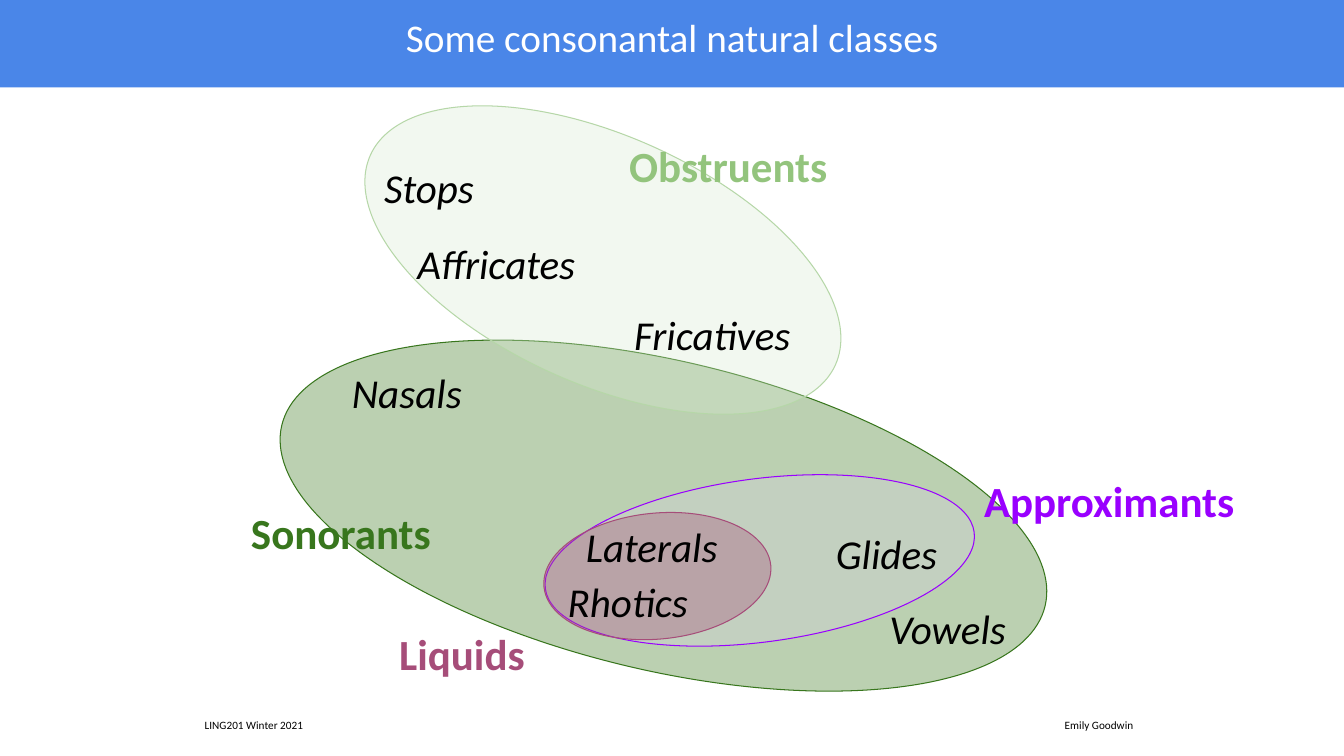
from dataclasses import dataclass

from pptx import Presentation
from pptx import util as u
from pptx.dml.color import RGBColor
from pptx.enum import shapes, text
from pptx.oxml.ns import qn
from lxml import etree

EMU_PER_PX = 9144  # 100 px to the inch


@dataclass(frozen=True)
class Theme:
    font: str = "Calibri"
    black: str = "000000"
    white: str = "FFFFFF"
    banner: str = "4A86E8"
    sonorant: str = "38761D"
    obstruent: str = "93C47D"
    obstruent_fill: str = "D9EAD3"
    obstruent_line: str = "B6D7A8"
    approximant: str = "9900FF"
    approximant_fill: str = "D9D2E9"
    liquid: str = "A64D79"
    title_size: float = 28
    class_size: float = 30.7
    sound_size: float = 29.3
    footer_size: float = 8


THEME = Theme()


@dataclass(frozen=True)
class Box:
    left: int
    top: int
    width: int
    height: int

    def emu(self) -> tuple[u.Emu, ...]:
        return tuple(px(n) for n in (self.left, self.top, self.width, self.height))


@dataclass(frozen=True)
class Region:
    box: Box
    rotation: float
    fill: str
    opacity: int
    line: str


@dataclass(frozen=True)
class ClassName:
    name: str
    box: Box
    color: str


@dataclass(frozen=True)
class Sound:
    name: str
    left: int
    top: int
    width: int = 215
    height: int = 76


REGIONS = [
    Region(Box(269, 358, 778, 307), 13.3, THEME.sonorant, 34, THEME.sonorant),
    Region(Box(345, 135, 506, 246), 24.3, THEME.obstruent_fill, 32, THEME.obstruent_line),
    Region(Box(539, 475, 429, 162), 352.5, THEME.approximant_fill, 28, THEME.approximant),
    Region(Box(539, 509, 226, 125), 354.6, THEME.liquid, 34, THEME.liquid),
]
CLASS_NAMES = [
    ClassName("Obstruents", Box(611, 125, 287, 79), THEME.obstruent),
    ClassName("Sonorants", Box(236, 489, 287, 79), THEME.sonorant),
    ClassName("Approximants", Box(963, 458, 327, 79), THEME.approximant),
    ClassName("Liquids", Box(383, 610, 184, 79), THEME.liquid),
]
SOUNDS = [
    Sound("Stops", 368, 148, 160, 126),
    Sound("Affricates", 401, 224),
    Sound("Fricatives", 616, 294),
    Sound("Nasals", 336, 352),
    Sound("Laterals", 568, 504),
    Sound("Rhotics", 550, 559),
    Sound("Glides", 816, 511),
    Sound("Vowels", 869, 586),
]


def px(length: int) -> u.Emu:
    return u.Emu(length * EMU_PER_PX)


def rgb(color: str) -> RGBColor:
    return RGBColor.from_string(color)


def set_text(shape, words: str, size: float, color: str, inset: int = 13,
             bold: bool = False, italic: bool = False):
    """Fill a shape with one styled paragraph and return that paragraph."""
    frame = shape.text_frame
    frame.word_wrap = True
    frame.auto_size = text.MSO_AUTO_SIZE.SHAPE_TO_FIT_TEXT
    frame.margin_left = frame.margin_right = px(inset)
    frame.margin_top = frame.margin_bottom = px(inset)
    para = frame.paragraphs[0]
    para.text = words
    font = para.font
    font.name, font.size = THEME.font, u.Pt(size)
    font.bold, font.italic = bold, italic
    font.color.rgb = rgb(color)
    return para


def add_title(page, words: str) -> None:
    title = page.shapes.title
    title.left, title.top, title.width, title.height = Box(0, 0, 1333, 74).emu()
    title.fill.solid()
    title.fill.fore_color.rgb = rgb(THEME.banner)
    para = set_text(title, words, THEME.title_size, THEME.white)
    para.alignment = text.PP_ALIGN.CENTER
    title.text_frame.vertical_anchor = text.MSO_ANCHOR.MIDDLE


def add_region(page, region: Region) -> None:
    oval = page.shapes.add_shape(shapes.MSO_SHAPE.OVAL, *region.box.emu())
    oval.rotation = region.rotation
    oval.shadow.inherit = False
    oval.fill.solid()
    oval.fill.fore_color.rgb = rgb(region.fill)
    oval.line.color.rgb = rgb(region.line)
    oval.line.width = u.Pt(0.75)
    color = oval.fill._xPr.find(qn("a:solidFill"))[0]
    etree.SubElement(color, qn("a:alpha"), val=str(region.opacity * 1000))


def add_footer(page, course: str, author: str) -> None:
    """Put course and author on one line, parted by a tab stop."""
    footer = page.shapes.add_textbox(*Box(44, 706, 1239, 34).emu())
    para = footer.text_frame.paragraphs[0]
    stops = etree.SubElement(para._p.get_or_add_pPr(), qn("a:tabLst"))
    etree.SubElement(stops, qn("a:tab"), pos=str(px(853)), algn="l")
    set_text(footer, f"{course}\t{author}", THEME.footer_size, THEME.black, inset=10)
    footer.text_frame.margin_left = px(159)


def main() -> None:
    deck = Presentation()
    deck.slide_width, deck.slide_height = px(1333), px(750)
    page = deck.slides.add_slide(deck.slide_layouts.get_by_name("Title Only"))
    add_title(page, "Some consonantal natural classes")
    for region in REGIONS:
        add_region(page, region)
    for label in CLASS_NAMES:
        box = page.shapes.add_textbox(*label.box.emu())
        set_text(box, label.name, THEME.class_size, label.color, bold=True)
    for sound in SOUNDS:
        place = Box(sound.left, sound.top, sound.width, sound.height)
        box = page.shapes.add_textbox(*place.emu())
        set_text(box, sound.name, THEME.sound_size, THEME.black, italic=True)
    add_footer(page, "LING201 Winter 2021", "Emily Goodwin")
    deck.save("out.pptx")


if __name__ == "__main__":
    main()
